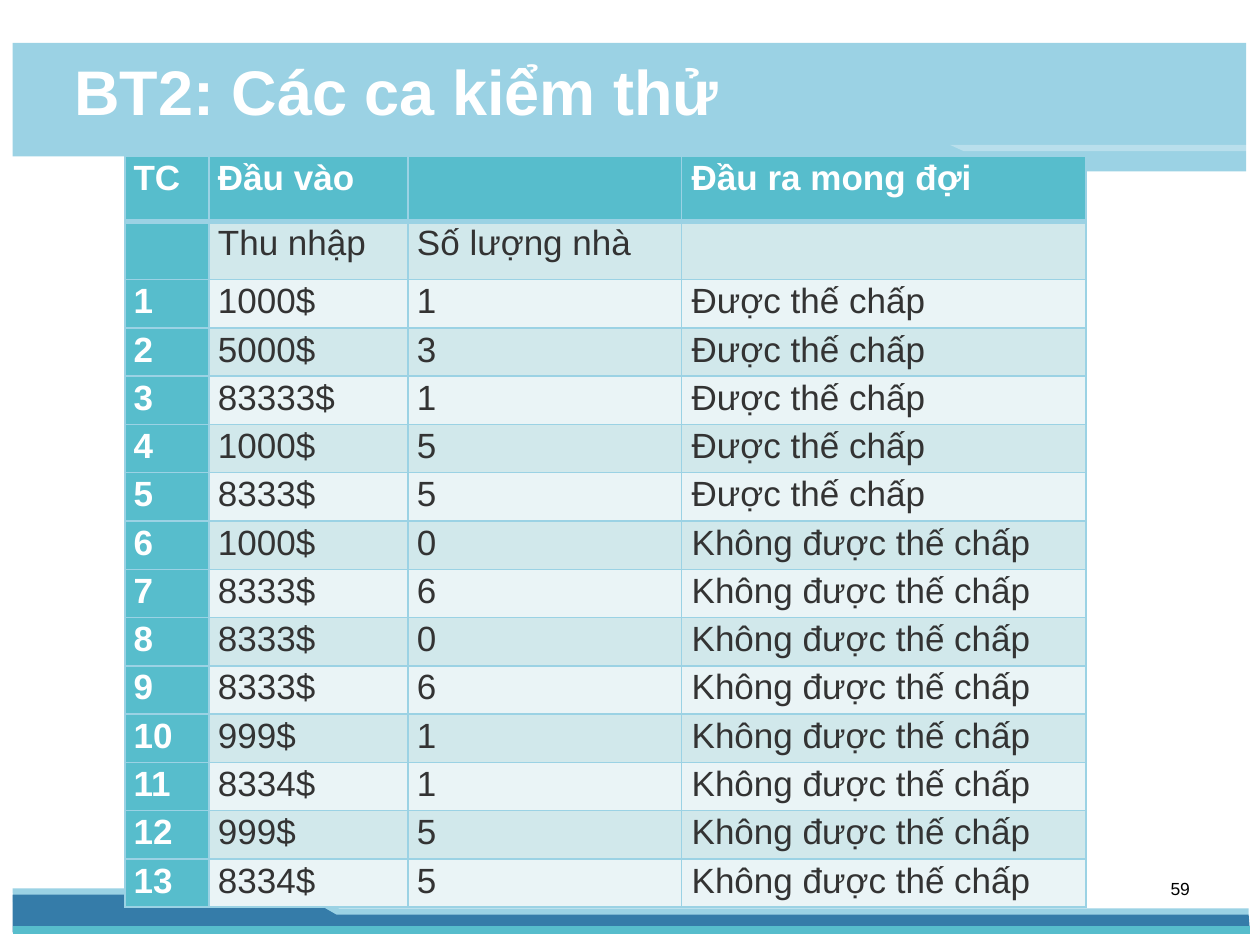
"""Build the slide of test cases for exercise 2."""
from lxml import etree
from pptx import Presentation
from pptx.dml import color as c
from pptx.oxml import ns
from pptx.util import Inches, Pt

HUES = {"sky": "9BD2E4", "blue": "357CA9", "teal": "57BDCC", "white": "FFFFFF",
        "ink": "333333", "black": "000000", "dark": "D1E8EB", "pale": "EAF4F6"}


def hue(name):
    return c.RGBColor.from_string(HUES[name])


def style(frame, size, name, bold):
    for run in frame.paragraphs[0].runs:
        run.font.name = "Arial"
        run.font.size = Pt(size)
        run.font.bold = bold
        run.font.color.rgb = hue(name)


deck = Presentation()
deck.slide_width, deck.slide_height = Inches(10), Inches(7.5)
slide = deck.slides.add_slide(deck.slide_layouts[6])

bands = [
    ("sky", [(0.1, 7.05), (0.11, 7.39), (9.91, 7.39), (9.91, 7.21), (2.69, 7.21), (2.44, 7.05)]),
    ("blue", [(0.1, 7.1), (0.1, 7.4), (9.92, 7.39), (9.91, 7.26), (2.67, 7.26), (2.39, 7.1)]),
    ("sky", [(9.89, 0.34), (0.1, 0.34), (0.1, 1.24), (7.43, 1.25), (7.61, 1.36), (9.89, 1.36)]),
    ("teal", [(9.92, 7.35), (0.1, 7.35), (0.1, 7.41), (9.92, 7.41)]),
    ("white", [(9.9, 1.15), (7.54, 1.15), (7.65, 1.2), (9.9, 1.2)]),
]
for name, spots in bands:
    spots = [(Inches(x), Inches(y)) for x, y in spots]
    pen = slide.shapes.build_freeform(*spots[0], scale=1.0)
    pen.add_line_segments(spots[1:], close=True)
    band = pen.convert_to_shape()
    band.shadow.inherit = False
    band.fill.solid()
    band.fill.fore_color.rgb = hue(name)
    band.line.fill.background()
tint = band.fill._xPr.find(".//" + ns.qn("a:srgbClr"))
etree.SubElement(tint, ns.qn("a:alpha"), val="30000")

labels = [("BT2: Các ca kiểm thử", 0.59, 0.41, 5.3, 0.63, 36, "white", True),
          ("59", 9.29, 6.96, 0.3, 0.25, 10, "black", False)]
for words, x, y, wide, high, size, name, bold in labels:
    frame = slide.shapes.add_textbox(Inches(x), Inches(y), Inches(wide), Inches(high)).text_frame
    frame.word_wrap = True
    frame.margin_left = frame.margin_right = frame.margin_bottom = 0
    frame.margin_top = Inches(0.01)
    frame.text = words
    style(frame, size, name, bold)

cases = [("1000$", 1), ("5000$", 3), ("83333$", 1), ("1000$", 5), ("8333$", 5),
         ("1000$", 0), ("8333$", 6), ("8333$", 0), ("8333$", 6), ("999$", 1),
         ("8334$", 1), ("999$", 5), ("8334$", 5)]
rows = [("TC", "Đầu vào", "", "Đầu ra mong đợi"), ("", "Thu nhập", "Số lượng nhà", "")]
for num, (pay, homes) in enumerate(cases, 1):
    result = "Được thế chấp" if num <= 5 else "Không được thế chấp"
    rows.append((str(num), pay, str(homes), result))

widths = [0.67, 1.58, 2.17, 3.21]
heights = [0.52, 0.46] + [4.98 / len(cases)] * len(cases)
table = slide.shapes.add_table(len(rows), len(widths), Inches(0.99), Inches(1.24),
                               Inches(sum(widths)), Inches(sum(heights))).table
table.first_col = True
for col, wide in zip(table.columns, widths):
    col.width = Inches(wide)
for row, high in zip(table.rows, heights):
    row.height = Inches(high)

for i, row in enumerate(rows):
    for j, words in enumerate(row):
        cell = table.cell(i, j)
        head = i == 0 or j == 0
        cell.margin_left = Inches(0.08 if j == 3 else 0.07)
        cell.margin_right = cell.margin_bottom = 0
        cell.margin_top = Inches(0.02)
        cell.text_frame.text = words
        style(cell.text_frame, 20, "white" if head else "ink", head)
        props = cell._tc.get_or_add_tcPr()
        for side in "LRTB":
            thick = (i, side) in [(0, "B"), (1, "T")]
            edge = etree.SubElement(props, ns.qn("a:ln" + side), w=str(Pt(3 if thick else 1)))
            fill = etree.SubElement(edge, ns.qn("a:solidFill"))
            etree.SubElement(fill, ns.qn("a:srgbClr"), val=HUES["sky"])
        cell.fill.solid()
        cell.fill.fore_color.rgb = hue("teal" if head else "dark" if i % 2 else "pale")

deck.save("out.pptx")
